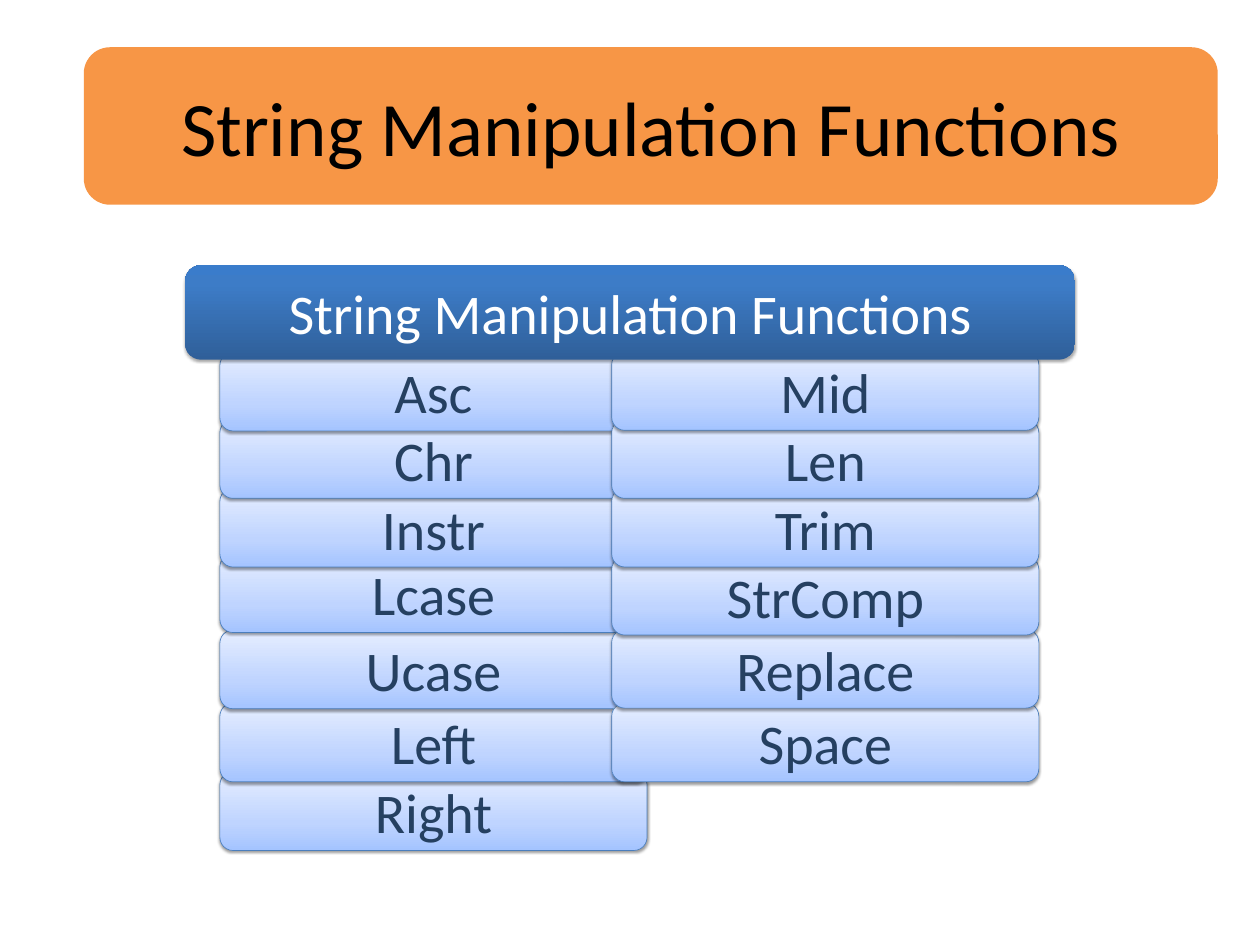
"""Build the String Manipulation Functions slide."""
from copy import deepcopy

from lxml import etree
from pptx import Presentation
from pptx.dml.color import RGBColor
from pptx.enum.shapes import MSO_SHAPE
from pptx.enum.text import MSO_ANCHOR, PP_ALIGN
from pptx.oxml.ns import qn
from pptx.util import Inches, Pt

ROUNDED = MSO_SHAPE.ROUNDED_RECTANGLE
MIDDLE = MSO_ANCHOR.MIDDLE
CENTER = PP_ALIGN.CENTER

ORANGE = RGBColor(0xF7, 0x96, 0x46)
BLACK = RGBColor(0x00, 0x00, 0x00)
WHITE = RGBColor(0xFF, 0xFF, 0xFF)
NAVY = RGBColor(0x25, 0x40, 0x61)
OUTLINE = RGBColor(0x4B, 0x7E, 0xBC)
PALE_STOPS = [
    (0, RGBColor(0xA4, 0xC4, 0xFF)),
    (0.35, RGBColor(0xBF, 0xD4, 0xFF)),
    (1, RGBColor(0xE6, 0xEE, 0xFF)),
]
DEEP_STOPS = [
    (0, RGBColor(0x2F, 0x5F, 0x99)),
    (0.8, RGBColor(0x3D, 0x7C, 0xC7)),
    (1, RGBColor(0x3A, 0x7C, 0xCB)),
]

TITLE = "String Manipulation Functions"
COLUMNS = [
    (3.49, [("Asc", 5.59), ("Chr", 6.66), ("Instr", 7.75), ("Lcase", 8.79),
            ("Ucase", 10), ("Left", 11.16), ("Right", 12.25)]),
    (9.71, [("Mid", 5.58), ("Len", 6.66), ("Trim", 7.75), ("StrComp", 8.83),
            ("Replace", 9.99), ("Space", 11.16)]),
]


def add_box(page, text, left, top, width, height, size, color):
    """Add a rounded box with centred text and no outline."""
    box = page.shapes.add_shape(
        ROUNDED, Inches(left), Inches(top), Inches(width), Inches(height))
    box.shadow.inherit = False
    box.line.fill.background()
    frame = box.text_frame
    frame.word_wrap = True
    frame.vertical_anchor = MIDDLE
    frame.margin_left = frame.margin_right = Inches(0.2)
    frame.margin_top = frame.margin_bottom = Inches(0.1)
    para = frame.paragraphs[0]
    para.text = text
    para.alignment = CENTER
    para.font.name = "Calibri"
    para.font.size = Pt(size)
    para.font.color.rgb = color
    return box


def add_depth(box, stops, distance, opacity):
    """Give a box an upward gradient and a soft shadow below it."""
    box.fill.gradient()
    box.fill.gradient_angle = 90
    properties = box._element.spPr
    stop_list = properties.find(qn("a:gradFill")).find(qn("a:gsLst"))
    stop_list.append(deepcopy(stop_list[0]))
    for stop, (position, color) in zip(box.fill.gradient_stops, stops):
        stop.position = position
        stop.color.rgb = color
    shadow = etree.SubElement(
        properties.find(qn("a:effectLst")), qn("a:outerShdw"),
        blurRad=str(Pt(3.1)), dist=str(Pt(distance)), dir="5400000", rotWithShape="0")
    shade = etree.SubElement(shadow, qn("a:srgbClr"), val=str(BLACK))
    etree.SubElement(shade, qn("a:alpha"), val=str(opacity * 1000))


deck = Presentation()
deck.slide_width = Inches(20)
deck.slide_height = Inches(15)
page = deck.slides.add_slide(deck.slide_layouts[6])

for left, functions in COLUMNS:
    for name, top in reversed(functions):
        function_box = add_box(page, name, left, top, 6.78, 1.25, 64, NAVY)
        function_box.line.color.rgb = OUTLINE
        function_box.line.width = Pt(0.75)
        add_depth(function_box, PALE_STOPS, 1.6, 38)

header = add_box(page, TITLE, 2.94, 4.21, 14.12, 1.5, 64, WHITE)
add_depth(header, DEEP_STOPS, 1.8, 35)

banner = add_box(page, TITLE, 1.33, 0.75, 18, 2.5, 88, BLACK)
banner.fill.solid()
banner.fill.fore_color.rgb = ORANGE

deck.save("out.pptx")
